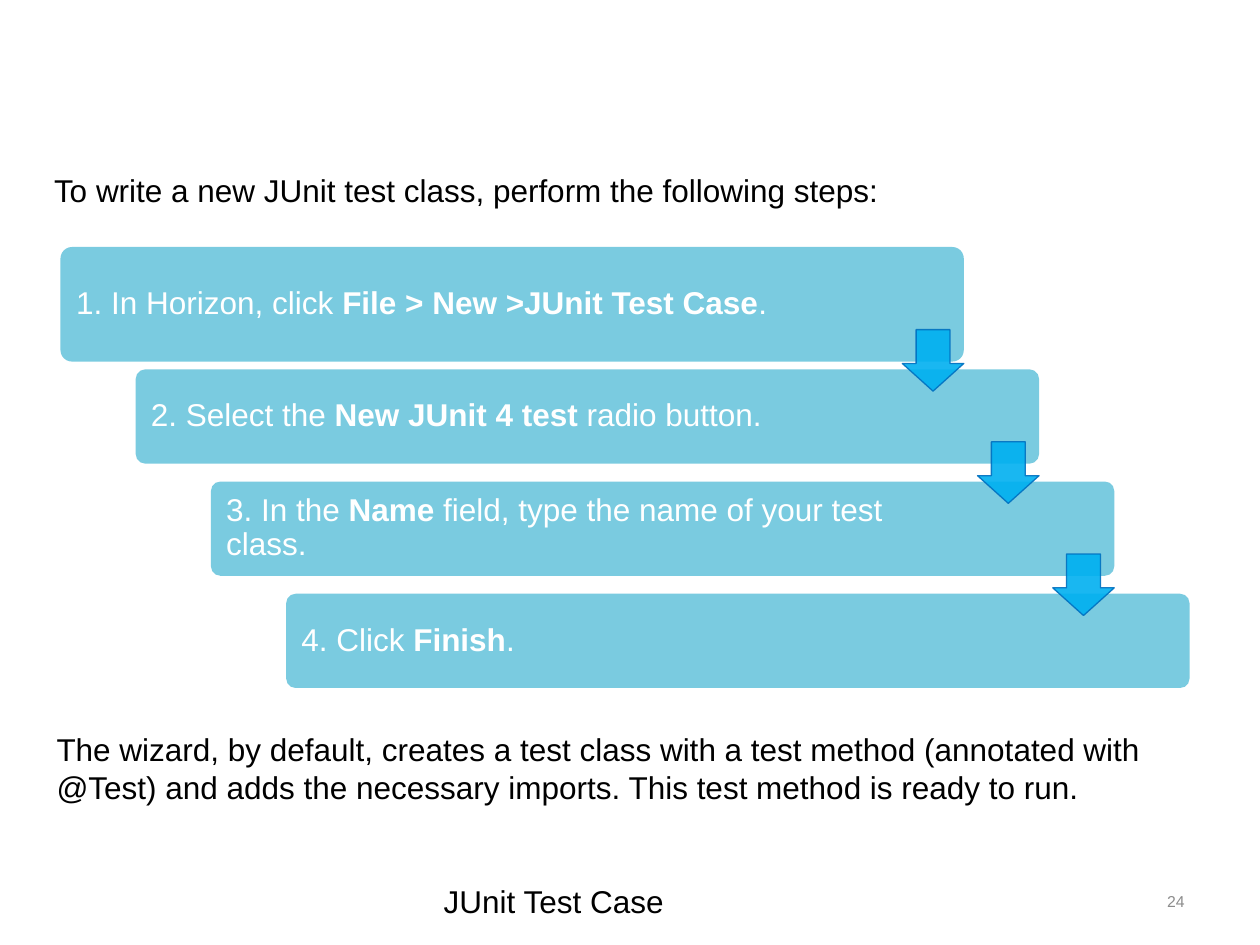
from lxml.etree import SubElement
from pptx import Presentation
from pptx.dml.color import RGBColor
from pptx.enum.shapes import MSO_SHAPE
from pptx.enum.text import MSO_ANCHOR, MSO_AUTO_SIZE, PP_ALIGN
from pptx.oxml.ns import qn
from pptx.util import Cm, Pt

BLACK, WHITE, GREY = "000000", "FFFFFF", "8C8C8C"
STEP_BLUE, ARROW_BLUE, ARROW_EDGE = "7ACBE0", "00B0F0", "0070C0"

# Each step: plain start, bold name, plain end
STEPS = [
    ("1. In Horizon, click ", "File > New >JUnit Test Case", "."),
    ("2. Select the ", "New JUnit 4 test", " radio button."),
    ("3. In the ", "Name", " field, type the name of your test class."),
    ("4. Click ", "Finish", "."),
]


def color(hex_value):
    return RGBColor.from_string(hex_value)


def set_values(target, values):
    for name, value in values.items():
        setattr(target, name, value)


def write(frame, spans, size=18, hex_value=BLACK, frame_format=None, para_format=None):
    """Fill a text frame with one paragraph of (text, bold) spans."""
    set_values(frame, {"word_wrap": True, "auto_size": MSO_AUTO_SIZE.NONE,
                       "vertical_anchor": MSO_ANCHOR.TOP, **(frame_format or {})})
    para = frame.paragraphs[0]
    set_values(para, {"alignment": PP_ALIGN.LEFT, **(para_format or {})})
    for text, bold in spans:
        span = para.add_run()
        span.text = text
        set_values(span.font, {"name": "Arial", "size": Pt(size), "bold": bold})
        span.font.color.rgb = color(hex_value)


def add_text(page, box, text, **formats):
    frame = page.shapes.add_textbox(*map(Cm, box)).text_frame
    write(frame, [(text, False)], **formats)


def set_title(page, box, text):
    title = page.shapes.title
    set_values(title, dict(zip(("left", "top", "width", "height"), map(Cm, box))))
    write(title.text_frame, [(text, False)])


def add_solid(page, kind, box, fill, adjustments):
    shape = page.shapes.add_shape(kind, *map(Cm, box))
    shape.shadow.inherit = False
    shape.fill.solid()
    shape.fill.fore_color.rgb = color(fill)
    for index, value in enumerate(adjustments):
        shape.adjustments[index] = value
    return shape


def add_step(page, box, parts):
    step = add_solid(page, MSO_SHAPE.ROUNDED_RECTANGLE, box, STEP_BLUE, [0.1])
    step.line.fill.background()
    start, name, end = parts
    write(step.text_frame, [(start, False), (name, True), (end, False)], hex_value=WHITE,
          frame_format={"vertical_anchor": MSO_ANCHOR.MIDDLE,
                        "margin_left": Cm(0.25), "margin_right": Cm(3.3)},
          para_format={"line_spacing": 0.9})


def add_arrow(page, box):
    arrow = add_solid(page, MSO_SHAPE.DOWN_ARROW, box, ARROW_BLUE, [0.55, 0.45])
    arrow.line.color.rgb = color(ARROW_EDGE)
    arrow.line.width = Pt(0.75)
    for solid_color in arrow._element.spPr.iter(qn("a:srgbClr")):
        SubElement(solid_color, qn("a:alpha"), val="90000")


def add_staircase(page, box):
    """Steps go down and to the right, with an arrow between each pair."""
    left, top, width, height = box
    step_width, first_height, step_height, arrow_size = 18.21, 2.31, 1.9, 1.24
    shift = (width - step_width) / (len(STEPS) - 1)
    first_middle = top + first_height / 2
    pitch = (height - first_height / 2 - step_height / 2) / (len(STEPS) - 1)

    for index, parts in enumerate(STEPS):
        tall = first_height if index == 0 else step_height
        middle = first_middle + index * pitch
        add_step(page, (left + index * shift, middle - tall / 2, step_width, tall), parts)

    for index in range(len(STEPS) - 1):
        right = left + index * shift + step_width
        middle = first_middle + (index + 0.5) * pitch
        add_arrow(page, (right - arrow_size, middle - arrow_size / 2, arrow_size, arrow_size))


def main():
    deck = Presentation()
    set_values(deck, {"slide_width": Cm(25.4), "slide_height": Cm(19.05)})
    page = deck.slides.add_slide(deck.slide_layouts[5])

    add_text(page, (0.84, 3.33, 20.32, 1.02),
             "To write a new JUnit test class, perform the following steps:")
    add_staircase(page, (1.22, 4.98, 22.76, 8.89))
    add_text(page, (0.89, 14.6, 23.14, 1.8),
             "The wizard, by default, creates a test class with a test method (annotated with "
             "@Test) and adds the necessary imports. This test method is ready to run.")
    set_title(page, (8.69, 17.65, 8.05, 1.02), "JUnit Test Case")
    add_text(page, (18.21, 17.65, 5.92, 1.02), "24", size=9, hex_value=GREY,
             frame_format={"vertical_anchor": MSO_ANCHOR.MIDDLE},
             para_format={"alignment": PP_ALIGN.RIGHT})
    deck.save("out.pptx")


if __name__ == "__main__":
    main()
